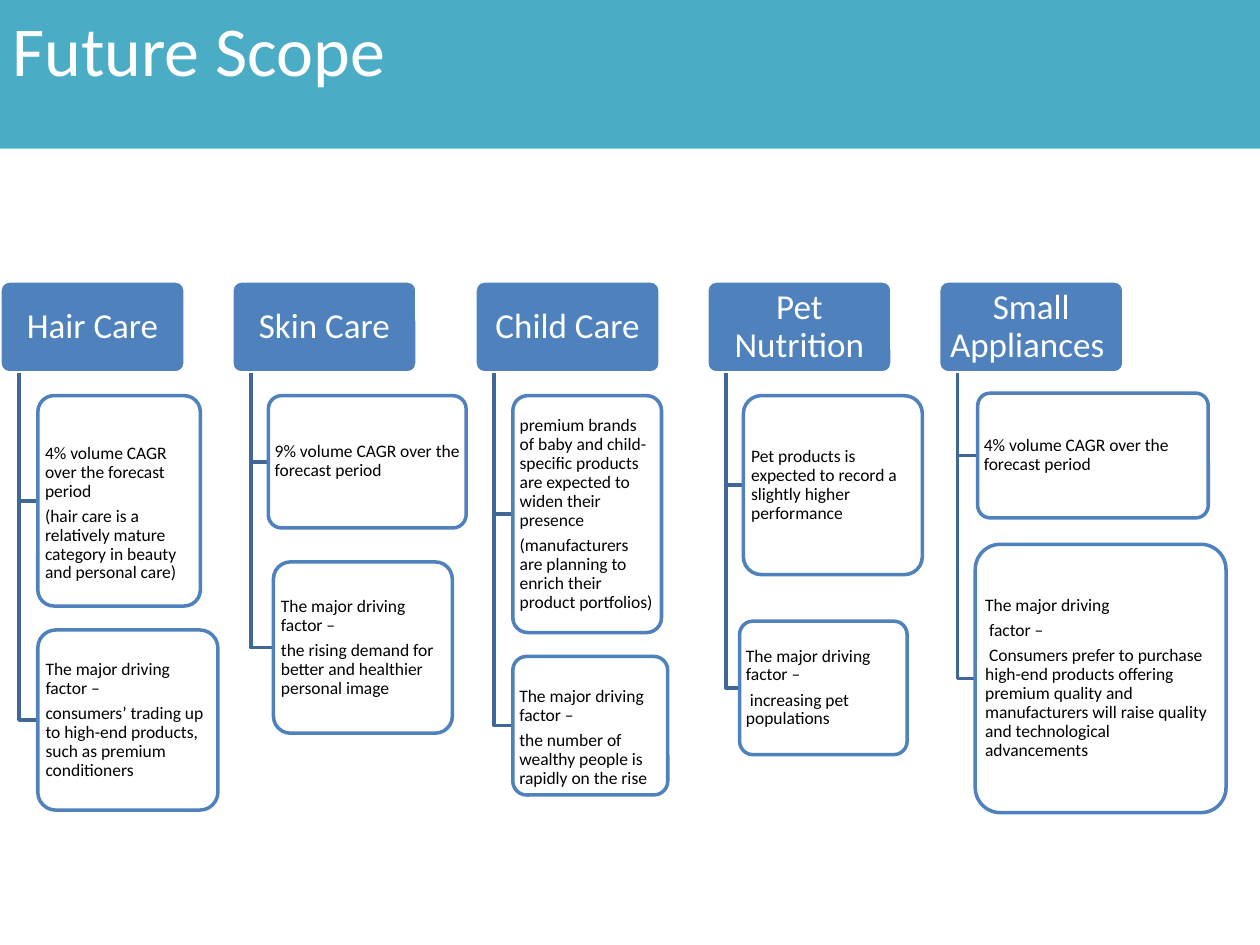
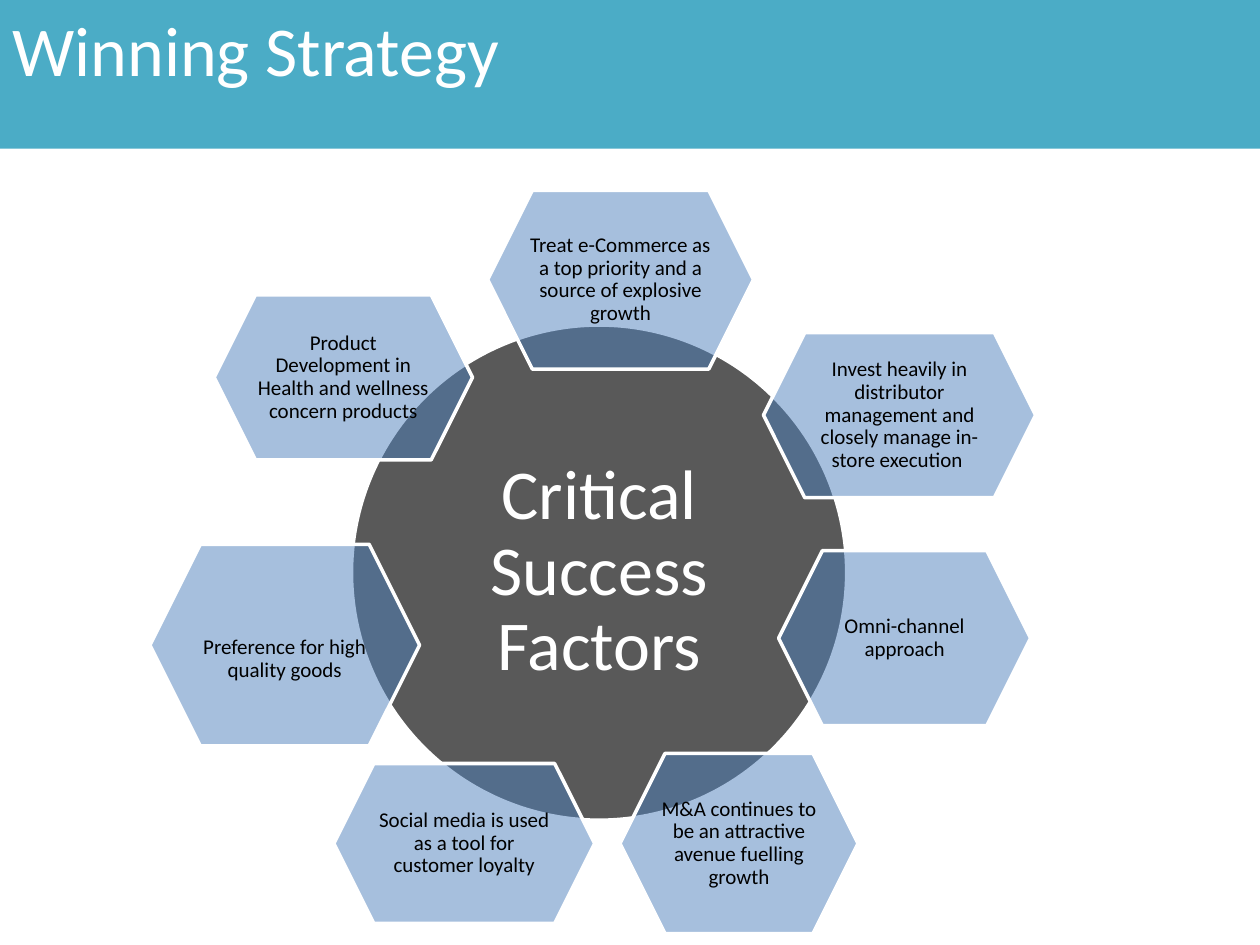
"""Build the Future Scope and Winning Strategy slides."""
from lxml import etree
from pptx import Presentation
from pptx import util as u
from pptx.dml import color
from pptx.enum import shapes, text
from pptx.oxml import ns

FONT = "Calibri"
BAND, BLUE, SPINE, GREY = "4BACC6", "4F81BD", "3F6797", "595959"
WHITE, BLACK = "FFFFFF", "000000"
LEFT, CENTER = text.PP_ALIGN.LEFT, text.PP_ALIGN.CENTER
ROUNDED = shapes.MSO_SHAPE.ROUNDED_RECTANGLE


def rgb(value):
    return color.RGBColor.from_string(value)


def add_box(page, kind, frame, fill, line, lines, size, ink=BLACK,
            align=CENTER, margin=0.02, alpha=100, lowered=0):
    box = page.shapes.add_shape(kind, *[u.Inches(n) for n in frame])
    box.shadow.inherit = False
    box.fill.solid()
    box.fill.fore_color.rgb = rgb(fill)
    if alpha < 100:
        tint = box.fill._xPr.find(".//" + ns.qn("a:srgbClr"))
        etree.SubElement(tint, ns.qn("a:alpha"), val=str(alpha * 1000))
    box.line.color.rgb = rgb(line)
    box.line.width = u.Pt(2)
    if kind == ROUNDED:
        box.adjustments[0] = 0.1
    body = box.text_frame
    body.word_wrap = True
    body.vertical_anchor = text.MSO_ANCHOR.MIDDLE
    body.margin_left = body.margin_right = body.margin_bottom = u.Inches(margin)
    body.margin_top = u.Inches(margin + lowered)
    for number, words in enumerate(lines):
        para = body.paragraphs[0] if number == 0 else body.add_paragraph()
        para.text = words
        para.alignment = align
        para.line_spacing = 0.9
        para.space_after = u.Pt(size * 0.35)
        para.font.name = FONT
        para.font.size = u.Pt(size)
        para.font.color.rgb = rgb(ink)
    return box


deck = Presentation()
deck.slide_width, deck.slide_height = u.Inches(10), u.Inches(7.5)
scope_page, strategy_page = [
    deck.slides.add_slide(deck.slide_layouts[6]) for _ in range(2)]

DRIVER = "The major driving factor –"
HEADER_TOP, HEADER_WIDTH, HEADER_HEIGHT = 2.23, 1.47, 0.73
HEADER_BOTTOM = HEADER_TOP + HEADER_HEIGHT
categories = [
    ("Hair Care", 0, [
        ((0.3, 3.14, 1.29, 1.67), 0.2, [
            "4% volume CAGR over the forecast period",
            "(hair care is a relatively mature category in beauty and personal care)"]),
        ((0.3, 5, 1.43, 1.43), 0, [
            DRIVER,
            "consumers’ trading up to high-end products, such as premium conditioners"])]),
    ("Skin Care", 1.84, [
        ((2.13, 3.14, 1.57, 1.05), 0, ["9% volume CAGR over the forecast period"]),
        ((2.17, 4.46, 1.42, 1.36), 0, [
            DRIVER,
            "the rising demand for better and healthier personal image"])]),
    ("Child Care", 3.77, [
        ((4.07, 3.14, 1.18, 1.88), 0, [
            "premium brands of baby and child-specific products are expected "
            "to widen their presence",
            "(manufacturers are planning to enrich their product portfolios)"]),
        ((4.07, 5.21, 1.23, 1.1), 0.2, [
            DRIVER,
            "the number of wealthy people is rapidly on the rise"])]),
    ("Pet Nutrition", 5.61, [
        ((5.9, 3.14, 1.42, 1.42), 0, [
            "Pet products is expected to record a slightly higher performance"]),
        ((5.87, 4.93, 1.33, 1.06), 0, [DRIVER, " increasing pet populations"])]),
    ("Small Appliances ", 7.45, [
        ((7.76, 3.12, 1.83, 0.99), 0, ["4% volume CAGR over the forecast period"]),
        ((7.74, 4.32, 1.99, 2.13), 0, [
            "The major driving",
            " factor –",
            " Consumers prefer to purchase high-end products offering premium quality "
            "and manufacturers will raise quality and technological advancements"])]),
]
for name, left, details in categories:
    add_box(scope_page, ROUNDED, (left, HEADER_TOP, HEADER_WIDTH, HEADER_HEIGHT),
            BLUE, WHITE, [name], 20, WHITE, margin=0.04)
    spine_x = u.Inches(left + 0.15)
    for frame, lowered, lines in details:
        middle = u.Inches(frame[1] + frame[3] / 2)
        outline = scope_page.shapes.build_freeform(spine_x, u.Inches(HEADER_BOTTOM))
        outline.add_line_segments(
            [(spine_x, middle), (u.Inches(frame[0]), middle)], close=False)
        branch = outline.convert_to_shape()
        branch.shadow.inherit = False
        branch.fill.background()
        branch.line.color.rgb = rgb(SPINE)
        branch.line.width = u.Pt(2)
        add_box(scope_page, ROUNDED, frame, WHITE, BLUE, lines, 10,
                align=LEFT, alpha=90, lowered=lowered)

add_box(strategy_page, shapes.MSO_SHAPE.OVAL, (2.79, 2.58, 3.93, 3.93), GREY, WHITE,
        ["Critical Success Factors"], 40, WHITE, margin=0.06)
factors = [
    ((3.87, 1.51, 2.11, 1.42), 0,
     "Treat e-Commerce as a top priority and a source of explosive growth"),
    ((6.06, 2.64, 2.16, 1.31), 0,
     "Invest heavily in distributor management and closely manage in-store execution "),
    ((6.18, 4.37, 2, 1.39), 0, "Omni-channel approach"),
    ((4.92, 5.98, 1.89, 1.43), 0,
     "M&A continues to be an attractive avenue fuelling growth"),
    ((2.65, 6.06, 2.07, 1.27), 0,
     "Social media is used as a tool for customer loyalty"),
    ((1.19, 4.32, 2.14, 1.6), 0.22, "Preference for high quality goods"),
    ((1.7, 2.34, 2.05, 1.31), 0,
     "Product Development in Health and wellness concern products"),
]
for frame, lowered, words in factors:
    add_box(strategy_page, shapes.MSO_SHAPE.HEXAGON, frame, BLUE, WHITE, [words], 12,
            alpha=50, lowered=lowered)

for page, title in [(scope_page, "Future Scope"), (strategy_page, "Winning Strategy")]:
    band = add_box(page, shapes.MSO_SHAPE.RECTANGLE, (0, 0, 10, 1.18), BAND, BAND,
                   [title], 40, WHITE, LEFT, margin=0.1, lowered=-0.05)
    band.line.fill.background()
    band.text_frame.vertical_anchor = text.MSO_ANCHOR.TOP
    band.text_frame.paragraphs[0].line_spacing = 1.0

deck.save("out.pptx")
